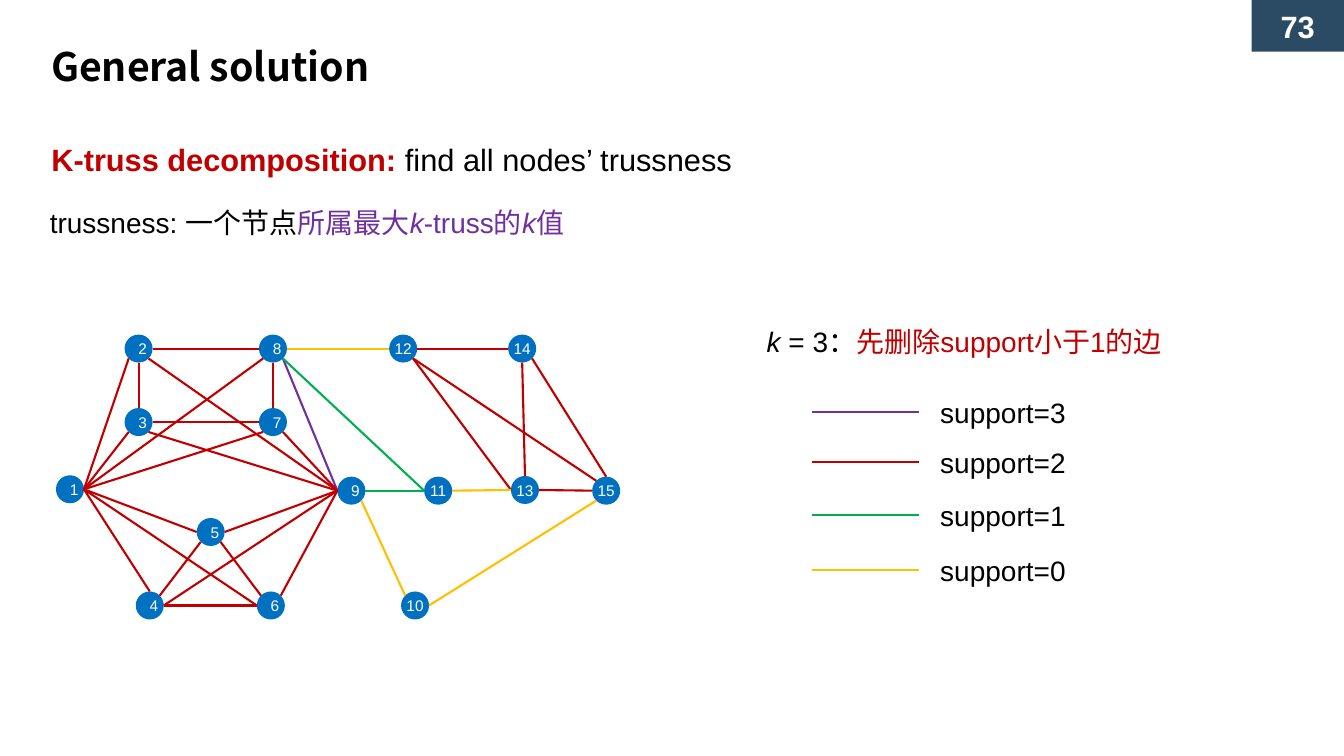
from math import cos, radians, sin

from lxml.etree import SubElement
from pptx import Presentation
from pptx.dml.color import RGBColor
from pptx.enum.shapes import MSO_CONNECTOR as Connector, MSO_SHAPE as Shape
from pptx.enum.text import MSO_ANCHOR as Anchor, MSO_AUTO_SIZE as AutoSize, PP_ALIGN as Align
from pptx.oxml.ns import qn
from pptx.util import Pt

BLACK, WHITE, NAVY, BLUE = "000000", "FFFFFF", "2B4A63", "0070C0"
RED, PURPLE, GREEN, YELLOW = "C00000", "7030A0", "00B050", "FFC000"
SUPPORT_COLORS = {3: PURPLE, 2: RED, 1: GREEN, 0: YELLOW}

NODE_SIZE = 20
NODE_CENTERS = {
    1: (50, 349.5), 2: (99, 249), 3: (99, 301.5), 4: (107, 432.5), 5: (150.5, 380),
    6: (193.5, 432.5), 7: (195, 301.5), 8: (195, 249), 9: (251, 350.5),
    10: (296.5, 432.5), 11: (313, 350.5), 12: (288, 249), 13: (375, 350),
    14: (373, 249), 15: (433, 350.5),
}
# Each edge end is a node number and the compass side where the line touches it.
EDGES = {
    3: ["8SE 9W"],
    2: ["1E 2SW", "8W 2E", "3N 2S", "7N 8S", "3E 7W", "1E 8SW", "1E 3SW", "1E 7SW",
        "3SE 9W", "2SE 9W", "7SE 9W", "1E 5W", "5E 9W", "5SE 6NW", "5SW 4NE",
        "1E 6W", "1E 4N", "4E 9W", "4E 6W", "6NE 9W", "12E 14W", "13E 15W",
        "12SE 13W", "14SE 15N", "14S 13N", "12SE 15NW"],
    1: ["8SE 11W", "9E 11W"],
    0: ["8E 12W", "11E 13W", "9SE 10NW", "10E 15SW"],
}
COMPASS = ["E", "SE", "S", "SW", "W", "NW", "N", "NE"]
LEGEND_HEIGHTS = {3: 294.5, 2: 330, 1: 368, 0: 407}


def rgb(value):
    return RGBColor.from_string(value)


def edge_point(end):
    """Return the point on a node's rim for an end such as '12SE'."""
    number = end.rstrip("NESW")
    angle = radians(45 * COMPASS.index(end[len(number):]))
    x, y = NODE_CENTERS[int(number)]
    return x + NODE_SIZE / 2 * cos(angle), y + NODE_SIZE / 2 * sin(angle)


class SlideBuilder:
    font_name = "Arial"
    east_asian_font = "Noto Sans CJK SC"
    line_width = 1.5

    def __init__(self, slide):
        self.slide = slide

    def fill_text(self, shape, runs, size, align=Align.LEFT, font_name=None, frame_format=None):
        """Fill a shape with one paragraph of (text, colour, font format) runs."""
        frame = shape.text_frame
        frame_values = {"word_wrap": True, "vertical_anchor": Anchor.TOP,
                        "auto_size": AutoSize.NONE, **(frame_format or {})}
        for name, value in frame_values.items():
            setattr(frame, name, value)
        paragraph = frame.paragraphs[0]
        paragraph.alignment = align
        paragraph.space_before = Pt(0)
        for text, color, font_format in runs:
            run = paragraph.add_run()
            run.text = text
            font_values = {"name": font_name or self.font_name, "size": Pt(size),
                           "bold": False, "italic": False, **font_format}
            for name, value in font_values.items():
                setattr(run.font, name, value)
            run.font.color.rgb = rgb(color)
            SubElement(run._r.get_or_add_rPr(), qn("a:ea"), typeface=self.east_asian_font)

    def place(self, shape, box):
        for name, value in zip(("left", "top", "width", "height"), box):
            setattr(shape, name, Pt(value))

    def title(self, box, text, size):
        shape = self.slide.shapes.title
        self.place(shape, box)
        margins = dict.fromkeys(("margin_left", "margin_top", "margin_right", "margin_bottom"), 0)
        self.fill_text(shape, [(text, BLACK, {"bold": True})], size,
                       font_name=self.east_asian_font, frame_format=margins)

    def body(self, box, runs, size):
        shape = self.slide.placeholders[1]
        self.place(shape, box)
        properties = shape.text_frame.paragraphs[0]._p.get_or_add_pPr()
        properties.set("marL", "0")
        properties.set("indent", "0")
        SubElement(properties, qn("a:buNone"))
        self.fill_text(shape, runs, size)

    def text(self, box, runs, size):
        shape = self.slide.shapes.add_textbox(*map(Pt, box))
        self.fill_text(shape, runs, size)

    def shape(self, kind, box, fill, label, size, frame_format=None, **font_format):
        shape = self.slide.shapes.add_shape(kind, *map(Pt, box))
        shape.shadow.inherit = False
        shape.fill.solid()
        shape.fill.fore_color.rgb = rgb(fill)
        shape.line.fill.background()
        self.fill_text(shape, [(label, WHITE, font_format)], size, Align.CENTER,
                       frame_format={"vertical_anchor": Anchor.MIDDLE, **(frame_format or {})})

    def node(self, number):
        x, y = NODE_CENTERS[number]
        box = (x - NODE_SIZE / 2, y - NODE_SIZE / 2, NODE_SIZE, NODE_SIZE)
        frame_format = {"word_wrap": False, "margin_left": Pt(6 if number < 10 else 0),
                        "margin_right": 0, "margin_top": 0, "margin_bottom": 0}
        self.shape(Shape.OVAL, box, BLUE, str(number), 11, frame_format)

    def line(self, start, end, color):
        connector = self.slide.shapes.add_connector(
            Connector.STRAIGHT, *map(Pt, (*start, *end)))
        connector.line.color.rgb = rgb(color)
        connector.line.width = Pt(self.line_width)
        SubElement(connector._element.spPr, qn("a:effectLst"))


def main():
    presentation = Presentation()
    presentation.slide_width, presentation.slide_height = Pt(960), Pt(540)
    builder = SlideBuilder(presentation.slides.add_slide(presentation.slide_layouts[1]))

    builder.shape(Shape.RECTANGLE, (894, 0, 66, 37), NAVY, "73", 22, bold=True)
    builder.title((36.5, 30.5, 725, 35), "General solution", 28)
    builder.body((29.5, 97, 861, 34), [
        ("K-truss decomposition: ", RED, {"bold": True}),
        ("find all nodes’ trussness", BLACK, {}),
    ], 22)
    builder.text((28.5, 143.5, 427, 31.5), [
        ("trussness: 一个节点", BLACK, {}),
        ("所属最大", PURPLE, {}),
        ("k", PURPLE, {"italic": True}),
        ("-truss的", PURPLE, {}),
        ("k", PURPLE, {"italic": True}),
        ("值", PURPLE, {}),
    ], 20)
    builder.text((540.5, 228.5, 337, 31.5), [
        ("k ", BLACK, {"italic": True}),
        ("= 3：", BLACK, {}),
        ("先删除support小于1的边", RED, {}),
    ], 20)

    for number in NODE_CENTERS:
        builder.node(number)
    for support, edges in EDGES.items():
        for edge in edges:
            start, end = map(edge_point, edge.split())
            builder.line(start, end, SUPPORT_COLORS[support])

    for support, y in LEGEND_HEIGHTS.items():
        builder.line((580, y), (656.5, y), SUPPORT_COLORS[support])
        builder.text((664.5, y - 15.5, 170.5, 31.5), [(f"support={support}", BLACK, {})], 20)

    presentation.save("out.pptx")


if __name__ == "__main__":
    main()
